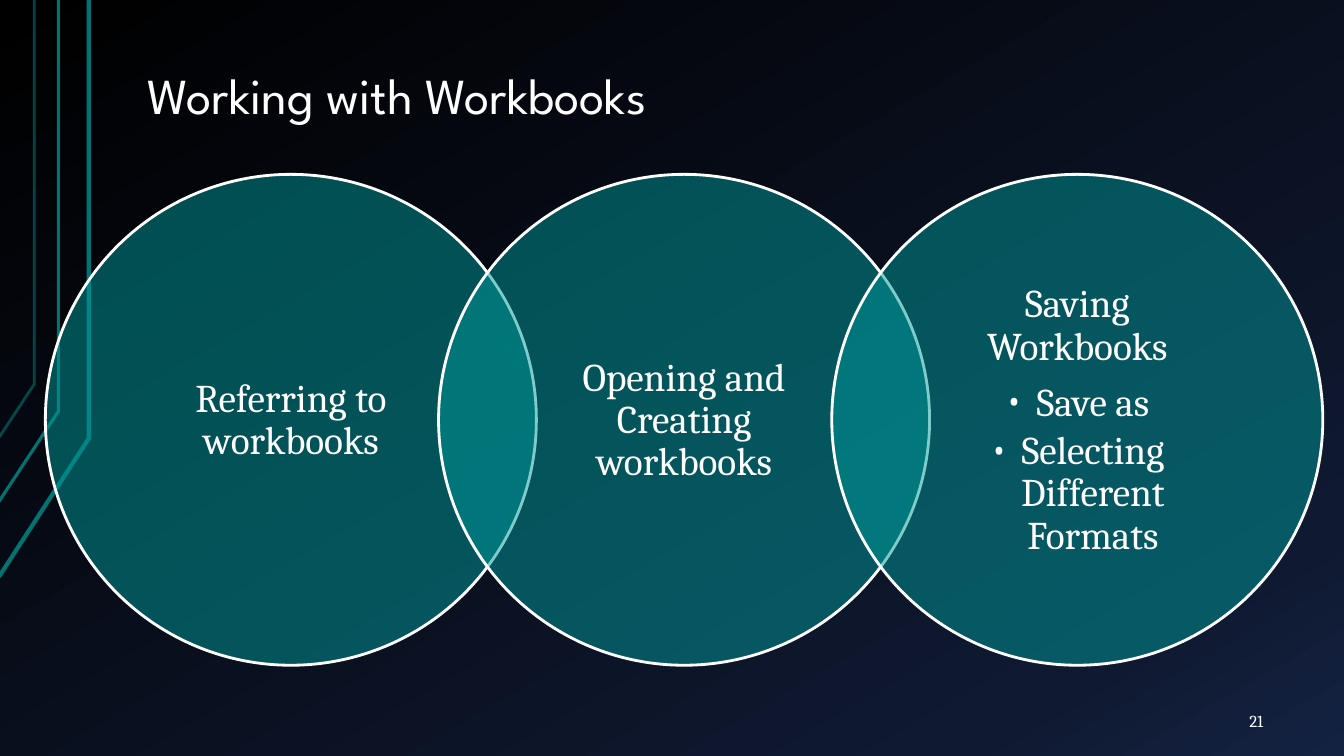
import copy

import pptx
import pptx.util
import pptx.dml.color
import pptx.enum.shapes
import pptx.enum.text
import pptx.oxml
import pptx.oxml.ns

Inches = pptx.util.Inches
Pt = pptx.util.Pt
RGBColor = pptx.dml.color.RGBColor
ALIGN = pptx.enum.text.PP_ALIGN
NAMESPACE = pptx.oxml.ns.nsdecls("a")

BLACK = RGBColor(0x00, 0x00, 0x00)
NAVY = RGBColor(0x0F, 0x19, 0x31)
BLUE = RGBColor(0x14, 0x22, 0x42)
DARK_TEAL = RGBColor(0x00, 0x73, 0x73)
TEAL = RGBColor(0x00, 0x99, 0x99)
WHITE = RGBColor(0xFF, 0xFF, 0xFF)


def set_alpha(fill_format, percent):
    """Make the solid colour of a fill partly transparent."""
    color = fill_format._xPr.find(".//" + pptx.oxml.ns.qn("a:srgbClr"))
    color.append(pptx.oxml.parse_xml(
        f'<a:alpha {NAMESPACE} val="{percent * 1000}"/>'))


def set_frame(frame, side, top):
    """Wrap and centre a text frame vertically, with the given insets."""
    frame.word_wrap = True
    frame.auto_size = pptx.enum.text.MSO_AUTO_SIZE.NONE
    frame.vertical_anchor = pptx.enum.text.MSO_ANCHOR.MIDDLE
    frame.margin_left = frame.margin_right = Inches(side)
    frame.margin_top = frame.margin_bottom = Inches(top)


deck = pptx.Presentation()
deck.slide_width = Inches(13.33)
deck.slide_height = Inches(7.5)
slide = deck.slides.add_slide(deck.slide_layouts[5])

# Background gradient
background = slide.background.fill
background.gradient()
background.gradient_angle = 300
stop_list = slide.element.xpath(".//p:bg//a:gsLst")[0]
stop_list.append(copy.deepcopy(stop_list[-1]))
for stop, position, color in zip(
        background.gradient_stops, (0, 0.85, 1), (BLACK, NAVY, BLUE)):
    stop.position = position
    stop.color.rgb = color

# Bent lines at the left edge: points, width, opacity
bent_lines = [
    ([(-0.01, 5.72), (0.88, 4.35), (0.88, 0)], 3, 100),
    ([(-0.02, 4.99), (0.58, 4.08), (0.58, 0)], 2.25, 100),
    ([(-0.01, 4.34), (0.34, 3.81), (0.34, 0)], 2, 60),
]
for points, width, opacity in bent_lines:
    corners = [(Inches(x), Inches(y)) for x, y in points]
    builder = slide.shapes.build_freeform(*corners[0])
    builder.add_line_segments(corners[1:], close=False)
    bent_line = builder.convert_to_shape()
    bent_line.shadow.inherit = False
    bent_line.fill.background()
    bent_line.line.color.rgb = DARK_TEAL
    bent_line.line.width = Pt(width)
    if opacity < 100:
        set_alpha(bent_line.line.fill, opacity)

# Title
title = slide.shapes.title
title.left, title.top = Inches(1.33), Inches(0.3)
title.width, title.height = Inches(11.33), Inches(1.34)
set_frame(title.text_frame, 0.13, 0.07)
para = title.text_frame.paragraphs[0]
para.alignment = ALIGN.LEFT
para.line_spacing = 0.9
span = para.add_run()
span.text = "Working with Workbooks"
span.font.size = Pt(36)
span.font.name = "League Spartan"
span.font.color.rgb = WHITE

# Overlapping circles: heading first, then bullets
topics = [
    ["Referring to workbooks"],
    ["Opening and Creating workbooks"],
    ["Saving Workbooks", "Save as", "Selecting Different Formats"],
]
CIRCLE_LEFT, CIRCLE_TOP, CIRCLE_SIZE, CIRCLE_STEP = 0.45, 1.73, 4.87, 3.9
TEXT_SIZE, TEXT_TOP = 3.45, 2.45
TEXT_OFFSET = (CIRCLE_SIZE - TEXT_SIZE) / 2

for index, lines in enumerate(topics):
    left = CIRCLE_LEFT + index * CIRCLE_STEP
    circle = slide.shapes.add_shape(
        pptx.enum.shapes.MSO_SHAPE.OVAL, Inches(left), Inches(CIRCLE_TOP),
        Inches(CIRCLE_SIZE), Inches(CIRCLE_SIZE))
    circle.shadow.inherit = False
    circle.fill.solid()
    circle.fill.fore_color.rgb = TEAL
    set_alpha(circle.fill, 50)
    circle.line.color.rgb = WHITE
    circle.line.width = Pt(2)

    box = slide.shapes.add_textbox(
        Inches(left + TEXT_OFFSET), Inches(TEXT_TOP),
        Inches(TEXT_SIZE), Inches(TEXT_SIZE))
    frame = box.text_frame
    set_frame(frame, 0.28, 0.04)
    for number, line in enumerate(lines):
        para = frame.add_paragraph() if number else frame.paragraphs[0]
        if number:
            properties = para._p.get_or_add_pPr()
            properties.set("marL", str(Inches(0.31)))
            properties.set("indent", str(Inches(-0.31)))
            for bullet in ('buFont {} typeface="Cambria"', 'buChar {} char="•"'):
                properties.append(pptx.oxml.parse_xml(
                    f"<a:{bullet.format(NAMESPACE)}/>"))
            para.level = 1
        para.alignment = ALIGN.CENTER
        para.line_spacing = 0.9
        para.space_after = Pt(4.2 if number else 9.8)
        span = para.add_run()
        span.text = line
        span.font.size = Pt(28)
        span.font.name = "Cambria"
        span.font.color.rgb = WHITE

# Slide number
box = slide.shapes.add_textbox(
    Inches(11.55), Inches(6.95), Inches(1.11), Inches(0.4))
set_frame(box.text_frame, 0.13, 0.07)
para = box.text_frame.paragraphs[0]
para.alignment = ALIGN.RIGHT
span = para.add_run()
span.text = "21"
span.font.size = Pt(12)
span.font.name = "Cambria"
span.font.color.rgb = WHITE

deck.save("out.pptx")
